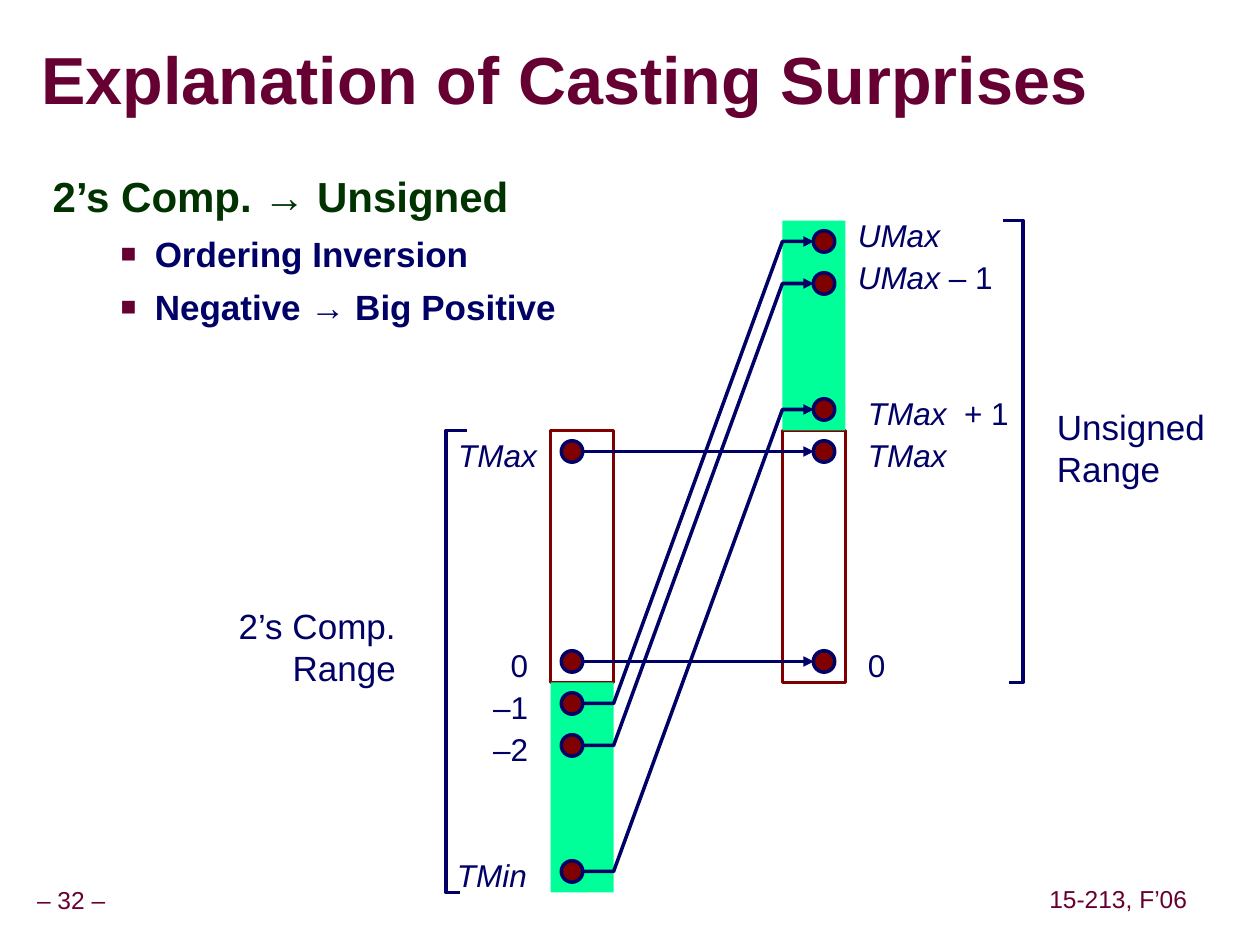
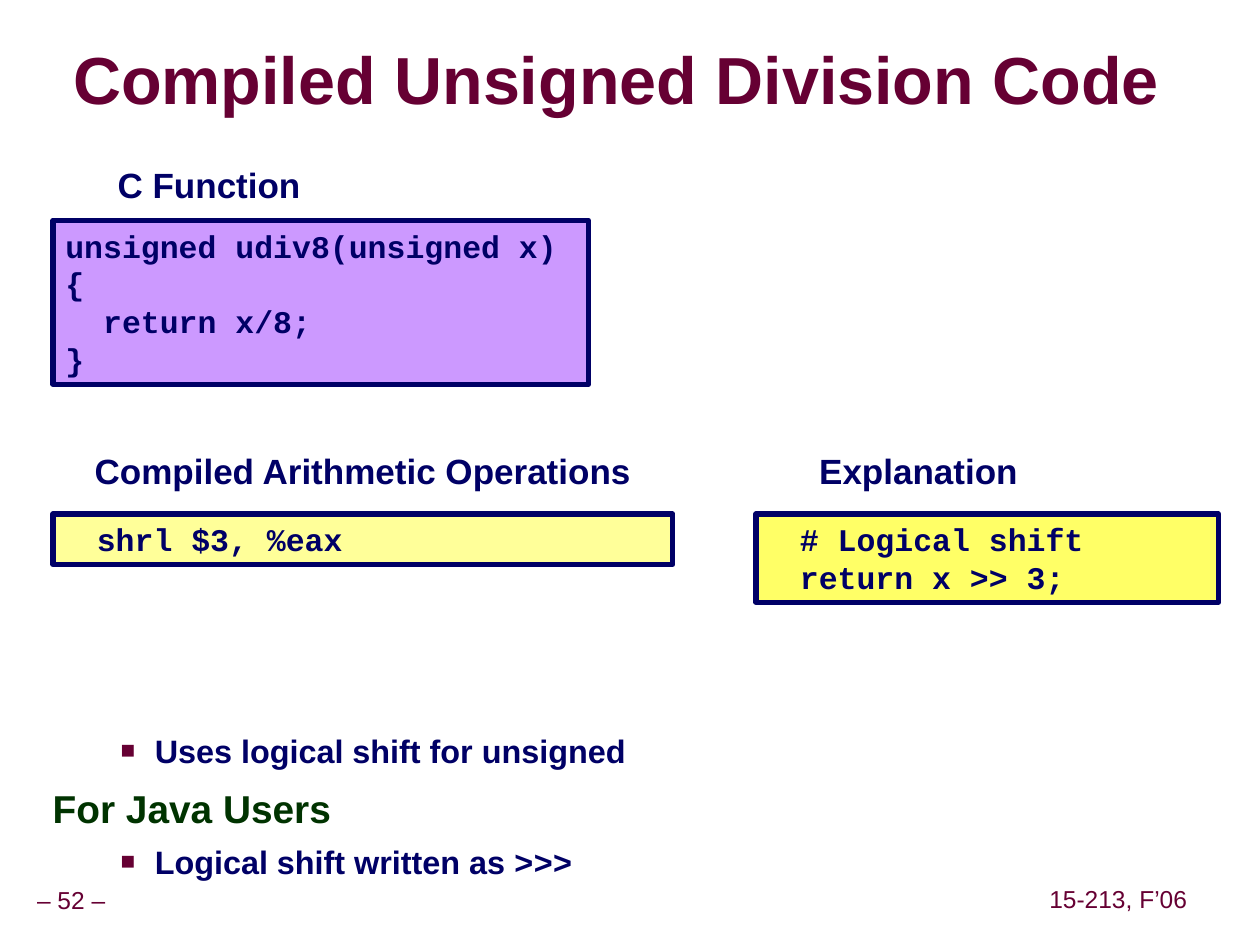
from lxml.etree import SubElement
from pptx import Presentation
from pptx.dml.color import RGBColor
from pptx.enum.shapes import MSO_CONNECTOR, MSO_SHAPE
from pptx.enum.text import MSO_ANCHOR, PP_ALIGN
from pptx.oxml.ns import qn
from pptx.util import Inches, Pt

color = RGBColor.from_string
MAROON, NAVY, GREEN = "660033", "000066", "003300"
DARK_RED, MINT, WHITE = "800000", "00FF99", "FFFFFF"
LEFT, CENTER, RIGHT = PP_ALIGN.LEFT, PP_ALIGN.CENTER, PP_ALIGN.RIGHT


def add_text(target, lines, size, text_color=NAVY, align=LEFT, bold=False,
             font="Arial", margins=(0.1, 0.05), spacing=None, anchor=MSO_ANCHOR.TOP):
    """Fill a shape with lines, each a tuple of runs, and return its text frame."""
    frame = target.text_frame
    frame.word_wrap = True
    frame.vertical_anchor = anchor
    frame.margin_left = frame.margin_right = Inches(margins[0])
    frame.margin_top = frame.margin_bottom = Inches(margins[1])
    for index, pieces in enumerate(lines):
        paragraph = frame.add_paragraph() if index else frame.paragraphs[0]
        paragraph.alignment = align
        if spacing:
            paragraph.line_spacing = spacing
        for piece in pieces:
            run = paragraph.add_run()
            run.text = piece
            run.font.name, run.font.size, run.font.bold = font, Pt(size), bold
            run.font.color.rgb = color(text_color)
    return frame


def style_shape(shape, fill=None, line=None, width=2, arrow=False):
    """Set fill and line, drop the shadow and optionally end in an arrowhead."""
    if fill:
        shape.fill.solid()
        shape.fill.fore_color.rgb = color(fill)
    if line:
        shape.line.color.rgb = color(line)
        shape.line.width = Pt(width)
    else:
        shape.line.fill.background()
    properties = shape._element.spPr
    if arrow:
        SubElement(properties.find(qn("a:ln")), qn("a:tailEnd"), type="triangle")
    SubElement(properties, qn("a:effectLst"))


presentation = Presentation()
presentation.slide_width, presentation.slide_height = Inches(10), Inches(7.5)

# Title, footers and body of both slides; a body line is (is bullet, runs)
pages = [
    (32, "Explanation of Casting Surprises", 0.33, (0.32, 1.33, 4.55, 1.88), 24, 20, 0.95,
     [(False, ("2’s Comp. → Unsigned",)),
      (True, ("Ordering Inversion",)),
      (True, ("Negative → Big Positive",))]),
    (52, "Compiled Unsigned Division Code", 0.58, (0.32, 5.75, 9.09, 1.3), 22.2, 18.5, 0.75,
     [(True, ("Uses logical shift for unsigned",)),
      (False, ("For Java Users",)),
      (True, ("Logical shift written as ", ">>>"))]),
]
slides = []
for number, title, title_left, body_box, heading_size, bullet_size, heading_spacing, body in pages:
    slide = presentation.slides.add_slide(presentation.slide_layouts[6])
    slides.append(slide)

    for text, left, top in ((f"– {number} –", -0.09, 7), ("15-213, F’06", 8.22, 6.99)):
        footer = slide.shapes.add_textbox(Inches(left), Inches(top), Inches(1.31), Inches(0.31))
        add_text(footer, [(text,)], 14, MAROON, CENTER, margins=(0.05, 0.05),
                 spacing=0.9, anchor=MSO_ANCHOR.MIDDLE)

    title_box = slide.shapes.add_textbox(Inches(title_left), Inches(0.35), Inches(9), Inches(0.63))
    frame = add_text(title_box, [(title,)], 38, MAROON, bold=True, margins=(0, 0),
                     spacing=0.87, anchor=MSO_ANCHOR.MIDDLE)
    effects = SubElement(frame.paragraphs[0].runs[0].font._element, qn("a:effectLst"))
    frame.paragraphs[0].runs[0].font._element.find(qn("a:solidFill")).addnext(effects)
    shadow = SubElement(effects, qn("a:outerShdw"), dist="38100", dir="2700000")
    SubElement(shadow, qn("a:srgbClr"), val="C0C0C0")

    body_shape = slide.shapes.add_textbox(*map(Inches, body_box))
    frame = add_text(body_shape, [pieces for _, pieces in body], bullet_size, bold=True)
    for index, (paragraph, (is_bullet, _)) in enumerate(zip(frame.paragraphs, body)):
        if is_bullet:
            properties = paragraph._p.get_or_add_pPr()
            properties.set("marL", str(Inches(0.81)))
            properties.set("indent", str(Inches(-0.27)))
            SubElement(SubElement(properties, qn("a:buClr")), qn("a:srgbClr"), val=MAROON)
            SubElement(properties, qn("a:buSzPct"), val="75000")
            SubElement(properties, qn("a:buFont"), typeface="Arial")
            SubElement(properties, qn("a:buChar"), char="■")
        else:
            paragraph.line_spacing = heading_spacing
            paragraph.runs[0].font.size = Pt(heading_size)
            paragraph.runs[0].font.color.rgb = color(GREEN)
        if index:
            paragraph.space_before = Pt(6.2 if is_bullet else 15)
        for run in paragraph.runs:
            if run.text == ">>>":
                run.font.name = "Courier New"

casting, division = slides

# Casting diagram: values sit on rows one third of an inch apart
ROW, TOP = 1 / 3, 1.75
SIGNED_LEFT, UNSIGNED_LEFT, BAR_WIDTH = 4.37, 6.21, 0.5
SIGNED_DOT, UNSIGNED_DOT, DOT = 4.54, 6.54, 0.17
bars = [
    (UNSIGNED_LEFT, 5, 6, WHITE, DARK_RED),
    (SIGNED_LEFT, 5, 6, WHITE, DARK_RED),
    (SIGNED_LEFT, 11, 5, MINT, None),
    (UNSIGNED_LEFT, 0, 5, MINT, None),
]
for left, first_row, row_count, fill, line in bars:
    bar = casting.shapes.add_shape(MSO_SHAPE.RECTANGLE, Inches(left), Inches(TOP + first_row * ROW),
                                   Inches(BAR_WIDTH), Inches(row_count * ROW))
    style_shape(bar, fill, line)

# Row, label runs, right edge (signed) or left edge (unsigned), label rise above the dot
signed_values = [(5, ("TMax",), 4.36, 0.17), (10, ("0",), 4.29, 0.17), (11, ("–1",), 4.29, 0.17),
                 (12, ("–2",), 4.29, 0.17), (15, ("TMin",), 4.28, 0.17)]
unsigned_values = [(0, ("UMax",), 6.71, 0.25), (1, ("UMax", " – 1"), 6.71, 0.25),
                   (4, ("TMax ", " + 1"), 6.79, 0.17), (5, ("TMax",), 6.79, 0.17),
                   (10, ("0",), 6.79, 0.17)]
for values, dot_x, align, label_width in ((signed_values, SIGNED_DOT, RIGHT, 0.9),
                                          (unsigned_values, UNSIGNED_DOT, LEFT, 1.5)):
    for row, pieces, edge, rise in values:
        y = TOP + (row + 0.5) * ROW
        dot = casting.shapes.add_shape(MSO_SHAPE.OVAL, Inches(dot_x - DOT / 2), Inches(y - DOT / 2),
                                       Inches(DOT), Inches(DOT))
        style_shape(dot, DARK_RED, NAVY)
        label_left = edge - label_width if align == RIGHT else edge
        label = casting.shapes.add_textbox(Inches(label_left), Inches(y - rise),
                                           Inches(label_width), Inches(0.4))
        frame = add_text(label, [pieces], 18, align=align)
        for run in frame.paragraphs[0].runs:
            run.font.italic = "Max" in run.text or "Min" in run.text

# Unchanged values map straight across, negative ones bend upwards
arrow_start, arrow_end = SIGNED_DOT + 0.08, UNSIGNED_DOT - 0.08
for row in (5, 10):
    y = Inches(TOP + (row + 0.5) * ROW)
    arrow = casting.shapes.add_connector(MSO_CONNECTOR.STRAIGHT, Inches(arrow_start), y,
                                         Inches(arrow_end), y)
    style_shape(arrow, line=NAVY, arrow=True)

outlines = []
for signed_row, unsigned_row in ((11, 0), (12, 1), (15, 4)):
    start_y, end_y = (TOP + (row + 0.5) * ROW for row in (signed_row, unsigned_row))
    outlines.append(([(arrow_start, start_y), (SIGNED_LEFT + BAR_WIDTH, start_y),
                      (UNSIGNED_LEFT, end_y), (arrow_end, end_y)], True))
for lower_x, spine_x, upper_x, first_row in ((3.65, 3.54, 3.71, 5), (8.01, 8.12, 7.96, 0)):
    upper_y, lower_y = TOP + first_row * ROW, TOP + (first_row + 11) * ROW
    outlines.append(([(lower_x, lower_y), (spine_x, lower_y),
                      (spine_x, upper_y), (upper_x, upper_y)], False))
for points, has_arrow in outlines:
    corners = [(Inches(x), Inches(y)) for x, y in points]
    builder = casting.shapes.build_freeform(*corners[0])
    builder.add_line_segments(corners[1:], close=False)
    outline = builder.convert_to_shape()
    outline.fill.background()
    style_shape(outline, line=NAVY, arrow=has_arrow)

for lines, left, top, align in (([("2’s Comp.",), ("Range",)], 1.64, 4.75, RIGHT),
                                ([("Unsigned",), ("Range",)], 8.29, 3.17, LEFT)):
    range_label = casting.shapes.add_textbox(Inches(left), Inches(top), Inches(1.6), Inches(0.77))
    add_text(range_label, lines, 20, align=align)

# Division code: a heading above each code box
code_boxes = [
    ("C Function", 1.66, 1.29, (0.42, 1.75, 4.25, 1.3), "CC99FF",
     ["unsigned udiv8(unsigned x)", "{", "  return x/8;", "}"]),
    ("Compiled Arithmetic Operations", 2.88, 3.56, (0.42, 4.08, 4.92, 0.4), "FFFF99",
     ["\tshrl\t$3, %eax"]),
    ("Explanation", 7.29, 3.56, (6, 4.08, 3.67, 0.7), "FFFF66",
     ["\t# Logical shift", "\treturn x >> 3;"]),
]
for heading, center, heading_top, box, fill, code in code_boxes:
    code_box = division.shapes.add_shape(MSO_SHAPE.RECTANGLE, *map(Inches, box))
    style_shape(code_box, fill, NAVY, 3)
    frame = add_text(code_box, [(line,) for line in code], 18, bold=True, font="Courier New")
    for paragraph in frame.paragraphs:
        tabs = SubElement(paragraph._p.get_or_add_pPr(), qn("a:tabLst"))
        for position in (0.25, 1):
            SubElement(tabs, qn("a:tab"), pos=str(Inches(position)), algn="l")
    heading_box = division.shapes.add_textbox(Inches(center - 2.3), Inches(heading_top),
                                              Inches(4.6), Inches(0.4))
    add_text(heading_box, [(heading,)], 20, align=CENTER, bold=True,
             margins=(0.05, 0.05), spacing=0.9)

presentation.save("out.pptx")
